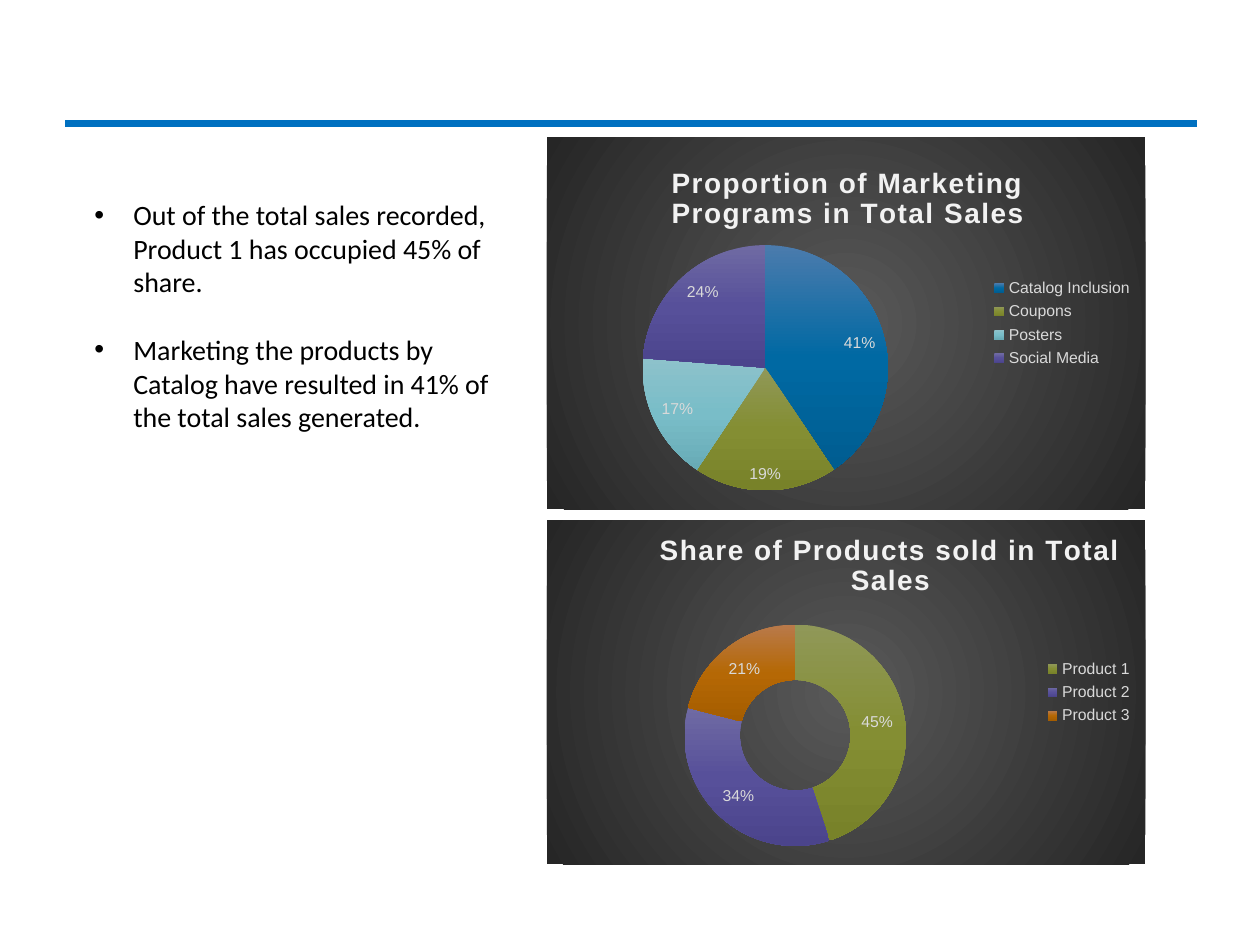
from lxml import etree
from pptx import Presentation
from pptx import util as u
from pptx.chart.data import CategoryChartData
from pptx.dml.color import RGBColor
from pptx.enum import chart as c
from pptx.enum import shapes, text
from pptx.oxml import parse_xml
from pptx.oxml.ns import nsdecls, qn

RULE_BLUE = RGBColor(0x00, 0x70, 0xC0)
BLACK = RGBColor(0x00, 0x00, 0x00)
TITLE_WHITE = RGBColor(0xF2, 0xF2, 0xF2)
LABEL_GREY = RGBColor(0xD9, 0xD9, 0xD9)


def shades(*codes):
    return [RGBColor.from_string(code) for code in codes]


BACKDROP = shades("595959", "262626")
BLUE = shades("4B7BAD", "0069A3", "005D91")
OLIVE = shades("909858", "848E33", "788229")
AQUA = shades("8DC2CB", "79BDC8", "68ABB6")
PURPLE = shades("6F6AA3", "57509A", "4B448C")
ORANGE = shades("B97A4B", "B56805", "A55D00")

LINEAR_DOWN = '<a:lin ang="5400000" scaled="0"/>'
FROM_CENTRE = ('<a:path path="circle"><a:fillToRect l="50000" t="50000" '
               'r="50000" b="50000"/></a:path>')


def gradient(colours, direction):
    """Gradient fill with evenly spaced stops."""
    step = 100000 // (len(colours) - 1)
    stops = "".join(
        f'<a:gs pos="{i * step}"><a:srgbClr val="{colour}"/></a:gs>'
        for i, colour in enumerate(colours))
    return parse_xml(f'<a:gradFill {nsdecls("a")} rotWithShape="1">'
                     f'<a:gsLst>{stops}</a:gsLst>{direction}</a:gradFill>')


def set_layout(parent, index, **fractions):
    """Place a chart part by fractions of the chart area."""
    for old in parent.findall(qn("c:layout")):
        parent.remove(old)
    target = '<c:layoutTarget val="inner"/>' if "w" in fractions else ""
    modes = '<c:xMode val="edge"/><c:yMode val="edge"/>'
    sizes = "".join(f'<c:{key} val="{value}"/>' for key, value in fractions.items())
    parent.insert(index, parse_xml(
        f'<c:layout {nsdecls("c")}><c:manualLayout>{target}{modes}{sizes}'
        '</c:manualLayout></c:layout>'))


def style_font(font, size, colour, name="Arial"):
    font.size, font.name = u.Pt(size), name
    font.color.rgb = colour


def add_header_rule(slide, left, top, width):
    rule = slide.shapes.add_connector(
        shapes.MSO_CONNECTOR.STRAIGHT, left, top, left + width, top)
    rule.line.color.rgb = RULE_BLUE
    rule.line.width = u.Pt(4.5)
    etree.SubElement(rule.element.spPr, qn("a:effectLst"))


def add_findings(slide, left, top, width, height, findings):
    box = slide.shapes.add_textbox(left, top, width, height)
    frame = box.text_frame
    frame.word_wrap = True
    frame.auto_size = text.MSO_AUTO_SIZE.SHAPE_TO_FIT_TEXT
    frame.text = "\n".join(findings)
    for paragraph in frame.paragraphs:
        style_font(paragraph.runs[0].font, 16, BLACK, "Calibri")
    for paragraph in frame.paragraphs[:-1]:
        paragraph.space_after = u.Pt(19.5)
    # Hanging bullets
    indent = u.Inches(0.31)
    for element in box.element.iter(qn("a:p")):
        properties = element.get_or_add_pPr()
        properties.set("marL", str(indent))
        properties.set("indent", str(-indent))
        etree.SubElement(properties, qn("a:buFont")).set("typeface", "Arial")
        etree.SubElement(properties, qn("a:buChar")).set("char", "•")


def add_share_chart(slide, left, top, width, height, kind, title, shares,
                    title_at, plot_at):
    """Dark chart panel; shares holds (category, value, slice colours)."""
    data = CategoryChartData()
    data.categories = [name for name, _, _ in shares]
    data.add_series("Series 1", [value for _, value, _ in shares])
    chart = slide.shapes.add_chart(kind, left, top, width, height, data).chart
    style_font(chart.font, 10, BLACK)
    area = chart.element.find(qn("c:chart"))

    # Panel background
    panel = parse_xml(f'<c:spPr {nsdecls("c", "a")}><a:ln><a:noFill/></a:ln></c:spPr>')
    panel.insert(0, gradient(BACKDROP, FROM_CENTRE))
    area.addnext(panel)

    # Title
    chart.has_title = True
    chart.chart_title.text_frame.text = title
    font = chart.chart_title.text_frame.paragraphs[0].runs[0].font
    style_font(font, 16, TITLE_WHITE)
    font.bold = True
    title_element = area.find(qn("c:title"))
    for run in title_element.iter(qn("a:r")):
        run.find(qn("a:rPr")).set("spc", "100")
    set_layout(title_element, 1, **title_at)
    set_layout(area.find(qn("c:plotArea")), 0, **plot_at)

    # Legend
    chart.has_legend = True
    chart.legend.position = c.XL_LEGEND_POSITION.RIGHT
    chart.legend.include_in_layout = False
    style_font(chart.legend.font, 9, LABEL_GREY)

    # Slices
    chart.plots[0].vary_by_categories = True
    series = chart.plots[0].series[0]
    for index in range(len(shares)):
        series.points[index].format.line.fill.background()
    for point, (_, _, colours) in zip(area.iter(qn("c:dPt")), shares):
        point.find(qn("c:spPr")).insert(0, gradient(colours, LINEAR_DOWN))
    for hole in area.iter(qn("c:holeSize")):
        hole.set("val", "75")

    # Percentage labels
    labels = series.data_labels
    labels.show_value = False
    labels.show_percentage = True
    labels.number_format, labels.number_format_is_linked = "0%", False
    style_font(labels.font, 9, LABEL_GREY)
    if kind == c.XL_CHART_TYPE.PIE:
        labels.position = c.XL_LABEL_POSITION.INSIDE_END


def main():
    presentation = Presentation()
    presentation.slide_width, presentation.slide_height = u.Inches(10), u.Inches(7.5)
    slide = presentation.slides.add_slide(presentation.slide_layouts[6])

    add_header_rule(slide, u.Inches(0.52), u.Inches(0.98), u.Inches(8.98))
    chart_left, chart_width = u.Inches(4.34), u.Inches(4.75)
    add_share_chart(
        slide, chart_left, u.Inches(1.09), chart_width, u.Inches(2.95),
        c.XL_CHART_TYPE.PIE, "Proportion of Marketing Programs in Total Sales",
        [("Catalog Inclusion", 41, BLUE), ("Coupons", 19, OLIVE),
         ("Posters", 17, AQUA), ("Social Media", 24, PURPLE)],
        title_at={"x": 0.2, "y": 0.06},
        plot_at={"x": 0.16, "y": 0.29, "w": 0.41, "h": 0.66})
    add_share_chart(
        slide, chart_left, u.Inches(4.13), chart_width, u.Inches(2.73),
        c.XL_CHART_TYPE.DOUGHNUT, "Share of Products sold in Total Sales",
        [("Product 1", 45, OLIVE), ("Product 2", 34, PURPLE),
         ("Product 3", 21, ORANGE)],
        title_at={"x": 0.18, "y": 0.02},
        plot_at={"x": 0.23, "y": 0.3, "w": 0.37, "h": 0.65})
    add_findings(
        slide, u.Inches(0.65), u.Inches(1.52), u.Inches(3.35), u.Inches(1.99),
        ["Out of the total sales recorded, Product 1 has occupied 45% of share.",
         "Marketing the products by Catalog have resulted in 41% of the total "
         "sales generated."])
    presentation.save("out.pptx")


if __name__ == "__main__":
    main()
